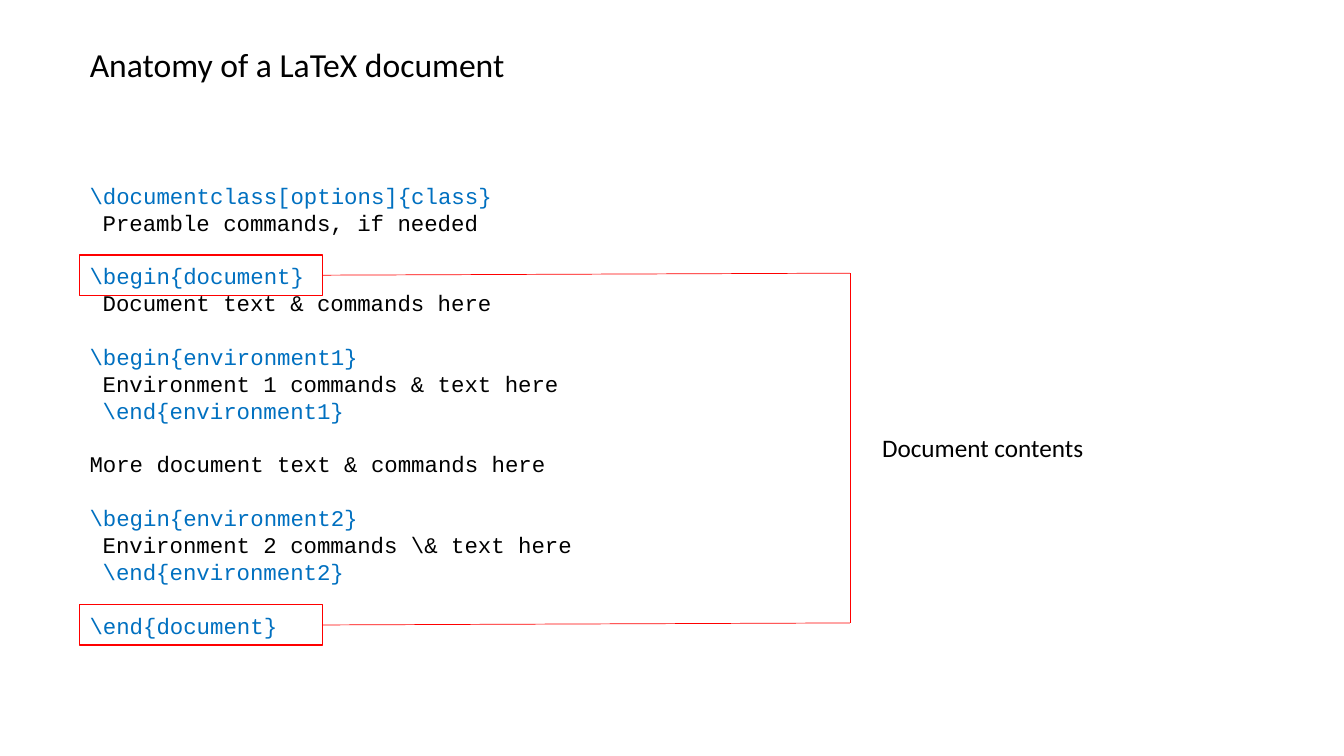
from dataclasses import dataclass

from lxml import etree
from pptx import Presentation
from pptx import util as u
from pptx.dml.color import RGBColor
from pptx.enum import shapes, text
from pptx.oxml.ns import qn

# Content: blocks of code lines as (text, is command, is indented)
TITLE = "Anatomy of a LaTeX document"
LABEL = "Document contents"
CODE_BLOCKS = [
    [(r"\documentclass[options]{class}", True, False),
     ("Preamble commands, if needed", False, True)],
    [(r"\begin{document}", True, False),
     ("Document text & commands here", False, True)],
    [(r"\begin{environment1}", True, False),
     ("Environment 1 commands & text here", False, True),
     (r"\end{environment1}", True, True)],
    [("More document text & commands here", False, False)],
    [(r"\begin{environment2}", True, False),
     (r"Environment 2 commands \& text here", False, True),
     (r"\end{environment2}", True, True)],
    [(r"\end{document}", True, False)],
]


@dataclass(frozen=True)
class Theme:
    ink: RGBColor = RGBColor(0, 0, 0)
    command: RGBColor = RGBColor(0x00, 0x70, 0xC0)
    mark: RGBColor = RGBColor(0xFF, 0, 0)
    body_font: str = "Calibri"
    code_font: str = "Courier New"
    title_size: int = 24
    label_size: int = 18
    code_size: int = 16
    code_pitch: float = 19.2


THEME = Theme()

# Layout, in inches
LEFT = 0.79
CODE_INDENT = 0.13
MARK_WIDTH, MARK_HEIGHT = 2.41, 0.4
MARK_TOPS = (2.53, 6.0)
BRACKET_X = 8.43
BRACKET_RISE = 0.02


def write(paragraph, content, *, font, size, color, indent=0, before=0, pitch=None):
    run = paragraph.add_run()
    run.text = content
    run.font.name, run.font.size = font, u.Pt(size)
    run.font.color.rgb = color
    paragraph.alignment = text.PP_ALIGN.LEFT
    paragraph.space_before = u.Pt(before)
    paragraph.line_spacing = u.Pt(pitch) if pitch else 1.0
    if indent:
        paragraph._p.get_or_add_pPr().set("marL", str(u.Inches(indent)))


def prepare_frame(shape, anchor=text.MSO_ANCHOR.TOP):
    frame = shape.text_frame
    frame.word_wrap = True
    frame.auto_size = text.MSO_AUTO_SIZE.NONE
    frame.vertical_anchor = anchor
    return frame


def add_text_box(slide, box, anchor=text.MSO_ANCHOR.TOP):
    return prepare_frame(slide.shapes.add_textbox(*map(u.Inches, box)), anchor)


def add_mark(slide, top):
    mark = slide.shapes.add_shape(
        shapes.MSO_SHAPE.RECTANGLE,
        *map(u.Inches, (LEFT, top, MARK_WIDTH, MARK_HEIGHT)))
    mark.shadow.inherit = False
    mark.fill.background()
    mark.line.color.rgb = THEME.mark
    mark.line.width = u.Pt(1)
    return mark


def add_line(slide, start, end):
    line = slide.shapes.add_connector(
        shapes.MSO_CONNECTOR.STRAIGHT, *map(u.Inches, start + end))
    line.line.color.rgb = THEME.mark
    line.line.width = u.Pt(0.5)
    etree.SubElement(line._element.spPr, qn("a:effectLst"))
    return line


def main():
    presentation = Presentation()
    presentation.slide_width = u.Inches(13.33)
    presentation.slide_height = u.Inches(7.5)
    slide = presentation.slides.add_slide(presentation.slide_layouts[5])

    # Title
    title = slide.shapes.title
    title.left, title.top, title.width, title.height = map(
        u.Inches, (LEFT, 0.39, 4.6, 0.5))
    write(prepare_frame(title).paragraphs[0], TITLE, font=THEME.body_font,
          size=THEME.title_size, color=THEME.ink)

    # Code listing, with one line of space between blocks
    frame = add_text_box(slide, (LEFT, 1.73, 5.2, 4.68), text.MSO_ANCHOR.MIDDLE)
    paragraph = frame.paragraphs[0]
    for block_index, block in enumerate(CODE_BLOCKS):
        for line_index, (content, is_command, is_indented) in enumerate(block):
            if block_index or line_index:
                paragraph = frame.add_paragraph()
            starts_block = block_index > 0 and line_index == 0
            write(paragraph, content, font=THEME.code_font, size=THEME.code_size,
                  color=THEME.command if is_command else THEME.ink,
                  indent=CODE_INDENT if is_indented else 0,
                  before=THEME.code_pitch if starts_block else 0,
                  pitch=THEME.code_pitch)

    # Marked commands, each joined to the bracket
    bracket_ends = []
    for top in MARK_TOPS:
        middle = top + MARK_HEIGHT / 2
        bracket_end = (BRACKET_X, middle - BRACKET_RISE)
        mark = add_mark(slide, top)
        line = add_line(slide, (LEFT + MARK_WIDTH, middle), bracket_end)
        line.begin_connect(mark, 3)
        bracket_ends.append(bracket_end)
    add_line(slide, *bracket_ends)

    # Bracket label
    label = add_text_box(slide, (8.65, 4.24, 2.4, 0.4))
    write(label.paragraphs[0], LABEL, font=THEME.body_font,
          size=THEME.label_size, color=THEME.ink)

    presentation.save("out.pptx")


if __name__ == "__main__":
    main()
